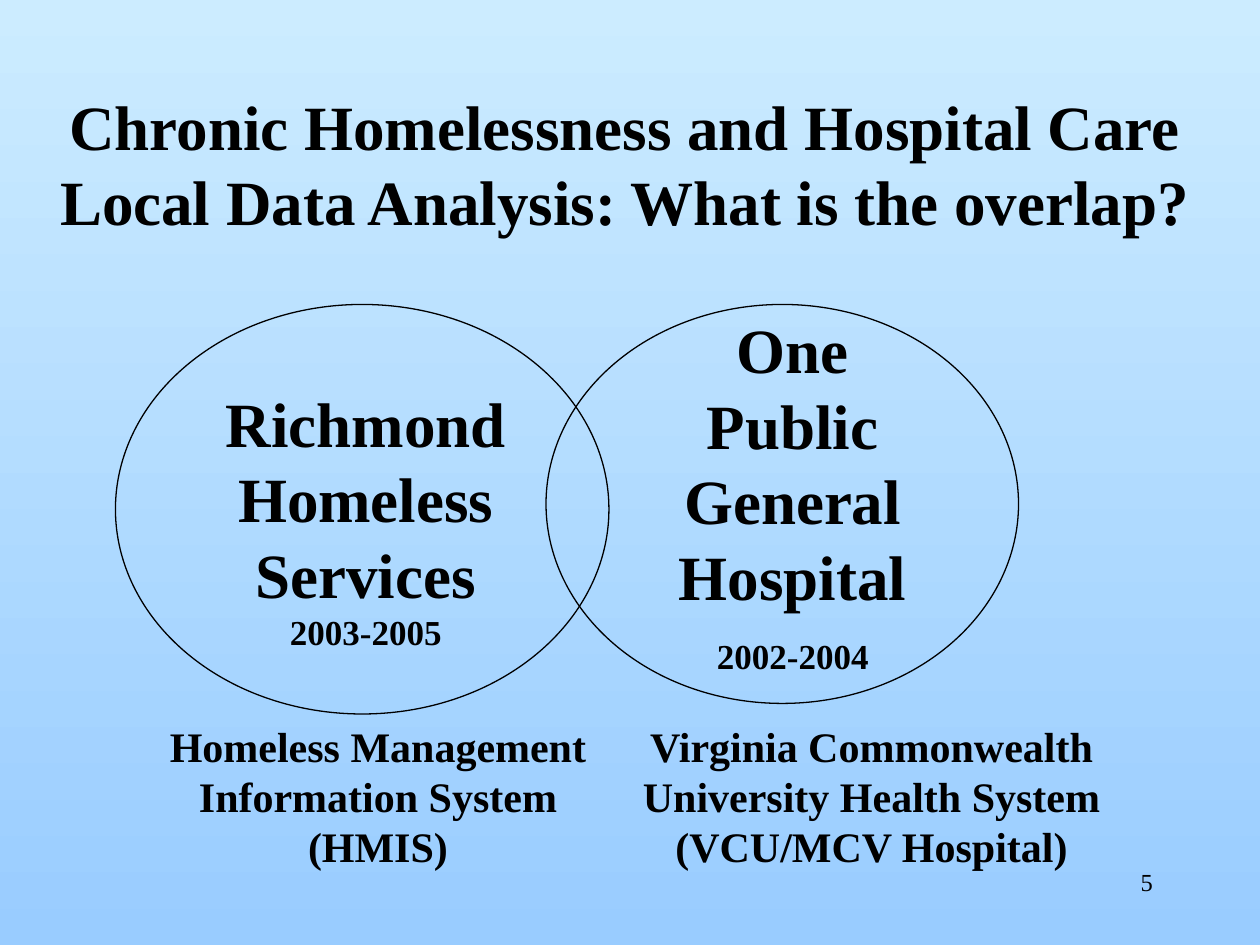
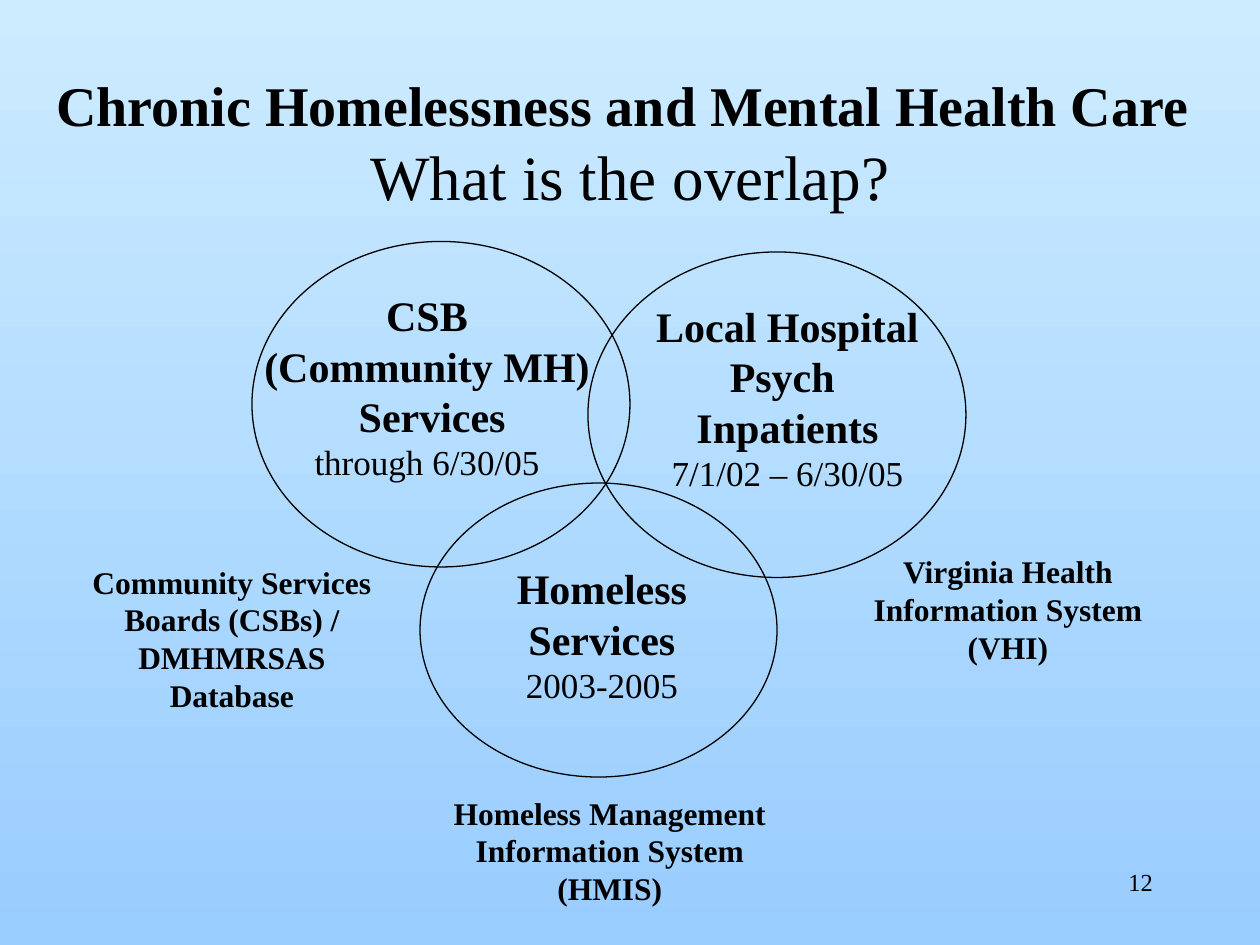
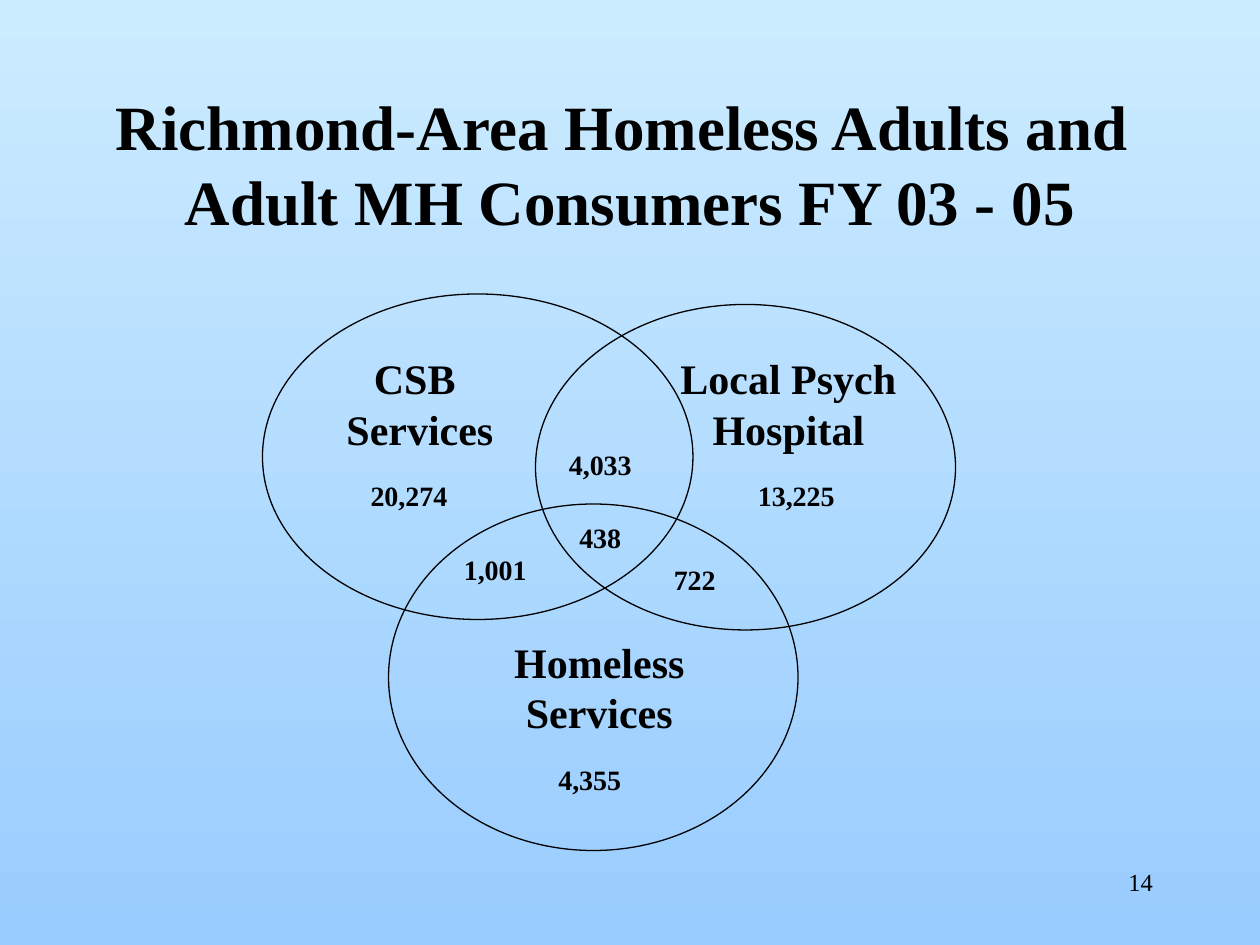
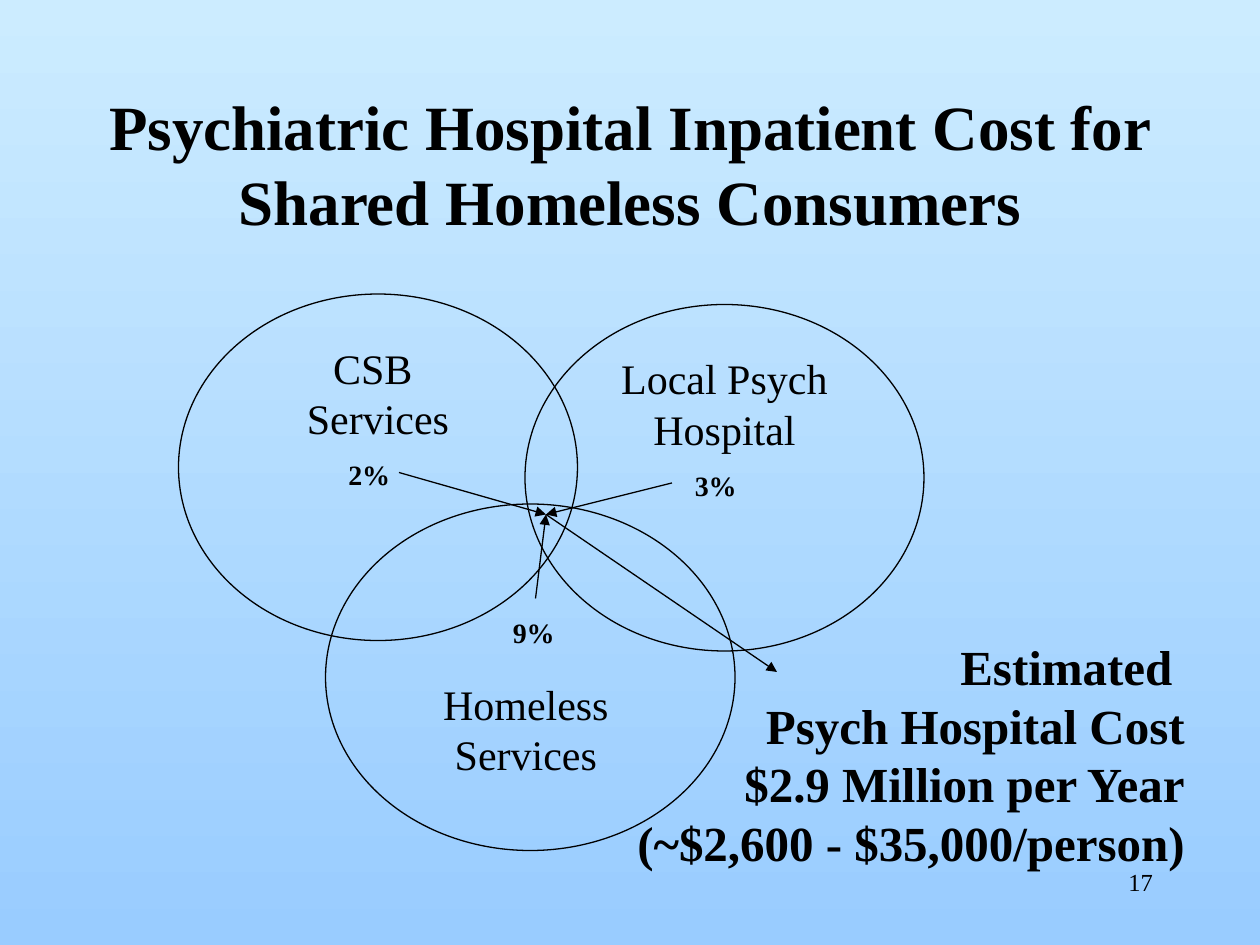
from copy import deepcopy
from dataclasses import dataclass
from typing import Optional

from lxml.etree import SubElement
from pptx import Presentation
from pptx.dml.color import RGBColor
from pptx.enum.shapes import MSO_CONNECTOR as Connector, MSO_SHAPE as Preset
from pptx.enum.text import MSO_ANCHOR as Anchor, MSO_AUTO_SIZE as AutoSize, PP_ALIGN as Align
from pptx.oxml.ns import qn
from pptx.util import Pt

FONT = "Times New Roman"
INK = "000000"
SKY_TOP = "CCECFF"
SKY_BOTTOM = "99CCFF"
LINE_WIDTH = 0.75
TITLE_ONLY = 5
NUMBER_FRAME = (516, 492, 150, 36)

Frame = tuple[float, float, float, float]
Point = tuple[float, float]


@dataclass(frozen=True)
class Span:
    text: str
    size: float = 36
    bold: bool = True
    before: float = 0


@dataclass(frozen=True)
class Label:
    frame: Frame
    lines: tuple[str, ...]
    size: float = 24
    bold: bool = True
    note: Optional[Span] = None
    wrap: bool = False
    align: Align = Align.CENTER
    grow: bool = True


@dataclass(frozen=True)
class Arrow:
    start: Point
    end: Point


@dataclass(frozen=True)
class Page:
    number: int
    title_frame: Frame
    title: tuple[Span, ...]
    circles: tuple[Frame, ...]
    labels: tuple[Label, ...]
    arrows: tuple[Arrow, ...] = ()


def figure(left: float, top: float, width: float, text: str) -> Label:
    return Label((left, top, width, 26.6), (text,), 16)


def color(code: str) -> RGBColor:
    return RGBColor.from_string(code)


def points(values: tuple[float, ...]) -> list[Pt]:
    return [Pt(value) for value in values]


def add_span(para, item: Span):
    span = para.add_run()
    span.text = item.text
    span.font.name = FONT
    span.font.size = Pt(item.size)
    span.font.bold = item.bold
    span.font.color.rgb = color(INK)
    return span


def draw_title(slide, frame: Frame, items: tuple[Span, ...]) -> None:
    title = slide.shapes.title
    title.left, title.top, title.width, title.height = points(frame)
    text = title.text_frame
    text.auto_size = AutoSize.NONE
    text.word_wrap = True
    text.vertical_anchor = Anchor.MIDDLE
    para = text.paragraphs[0]
    para.alignment = Align.CENTER
    for index, item in enumerate(items):
        if index:
            para.add_line_break()
            para._p[-1].append(deepcopy(span._r.rPr))
        span = add_span(para, item)


def draw_circle(slide, frame: Frame) -> None:
    circle = slide.shapes.add_shape(Preset.OVAL, *points(frame))
    circle.shadow.inherit = False
    circle.fill.background()
    circle.line.color.rgb = color(INK)
    circle.line.width = Pt(LINE_WIDTH)


def draw_label(slide, label: Label) -> None:
    box = slide.shapes.add_textbox(*points(label.frame))
    text = box.text_frame
    text.word_wrap = label.wrap
    text.auto_size = AutoSize.SHAPE_TO_FIT_TEXT if label.grow else AutoSize.NONE
    items = [Span(line, label.size, label.bold) for line in label.lines]
    if label.note:
        items.append(label.note)
    for index, item in enumerate(items):
        para = text.add_paragraph() if index else text.paragraphs[0]
        para.alignment = label.align
        if item.before:
            para.space_before = Pt(item.before)
        add_span(para, item)


def draw_arrow(slide, arrow: Arrow) -> None:
    line = slide.shapes.add_connector(
        Connector.STRAIGHT, *points(arrow.start + arrow.end)
    )
    line.line.color.rgb = color(INK)
    line.line.width = Pt(LINE_WIDTH)
    SubElement(line.line._get_or_add_ln(), qn("a:tailEnd"), type="triangle")
    SubElement(line._element.spPr, qn("a:effectLst"))


def draw_page(deck, page: Page) -> None:
    slide = deck.slides.add_slide(deck.slide_layouts[TITLE_ONLY])
    draw_title(slide, page.title_frame, page.title)
    for circle in page.circles:
        draw_circle(slide, circle)
    for arrow in page.arrows:
        draw_arrow(slide, arrow)
    for label in page.labels:
        draw_label(slide, label)
    draw_label(slide, Label(NUMBER_FRAME, (str(page.number),), 14, False,
                            wrap=True, align=Align.RIGHT, grow=False))


def paint_background(deck) -> None:
    fill = deck.slide_master.background.fill
    fill.gradient()
    fill.gradient_angle = 270
    for stop, code in zip(fill.gradient_stops, (SKY_TOP, SKY_BOTTOM)):
        stop.color.rgb = color(code)


HMIS = ("Homeless Management", "Information System", "(HMIS)")
CSB = ("CSB", " Services")
PSYCH = ("Local Psych", "Hospital")
HOMELESS = ("Homeless", "Services")
SHARED = (312, 294)

PAGES = (
    Page(
        5,
        (24, 48, 666, 90),
        (Span("Chronic Homelessness and Hospital Care "
              "Local Data Analysis: What is the overlap?"),),
        ((312, 174, 270, 228), (66, 174, 282, 234)),
        (
            Label((114, 216, 190, 161), ("Richmond Homeless", "Services"), 36,
                  note=Span("2003-2005", 20), wrap=True),
            Label((88, 408, 256, 93.6), HMIS),
            Label((348, 408, 300, 93.6),
                  ("Virginia Commonwealth University Health System",
                   "(VCU/MCV Hospital)"), wrap=True),
            Label((366, 174, 174, 216), ("One Public", "General", "Hospital"), 36,
                  note=Span("2002-2004", 20, before=12), wrap=True),
        ),
    ),
    Page(
        12,
        (24, 36, 672, 90),
        (Span("Chronic Homelessness and Mental Health Care ", 32),
         Span("What is the overlap?", bold=False)),
        ((144, 138, 216, 186), (336, 144, 216, 186), (240, 276, 204, 168)),
        (
            Label((142, 162, 204, 118), ("CSB", "(Community MH)", " Services"),
                  note=Span("through 6/30/05", 20, False)),
            Label((354, 168, 192, 118), ("Local Hospital", "Psych ", "Inpatients"),
                  note=Span("7/1/02 – 6/30/05", 20, False), wrap=True),
            Label((286, 318, 116, 89), HOMELESS,
                  note=Span("2003-2005", 20, False)),
            Label((250, 450, 197, 72), HMIS, 18),
            Label((490, 312, 172, 72),
                  ("Virginia Health", "Information System", "(VHI)"), 18),
            Label((43.5, 318, 178, 93.6),
                  ("Community Services", "Boards (CSBs) /", "DMHMRSAS", "Database"),
                  18),
        ),
    ),
    Page(
        14,
        (30, 48, 660, 90),
        (Span("Richmond-Area Homeless Adults and "),
         Span("Adult MH Consumers FY 03 - 05")),
        ((150, 168, 246, 186), (306, 174, 240, 186), (222, 288, 234, 198)),
        (
            Label((183, 198, 108, 65), CSB),
            Label((379.5, 198, 142, 65), PSYCH),
            Label((284.5, 360, 116, 65), HOMELESS),
            figure(316, 252, 54, "4,033"),
            figure(424, 270, 62, "13,225"),
            figure(198, 270, 71.3, "20,274"),
            figure(310, 432, 54, "4,355"),
            figure(256, 312, 54, "1,001"),
            figure(322, 294, 42, "438"),
            figure(376, 318, 42, "722"),
        ),
    ),
    Page(
        17,
        (54, 48, 612, 90),
        (Span("Psychiatric Hospital Inpatient Cost for Shared Homeless Consumers"),),
        ((102, 168, 228, 198), (300, 174, 228, 198), (186, 288, 234, 198)),
        (
            Label((160, 192, 106, 65), CSB, bold=False),
            Label((346, 198, 136, 65), PSYCH, bold=False),
            Label((244, 384, 113, 65), HOMELESS, bold=False),
            figure(388, 264, 42, "3%"),
            figure(190, 258, 42, "2%"),
            figure(284, 348, 42, "9%"),
            Label((281.5, 360, 402.5, 142),
                  ("Estimated ", "Psych Hospital Cost", "$2.9 Million per Year",
                   "(~$2,600 - $35,000/person)"), 28, wrap=True, align=Align.RIGHT),
        ),
        (
            Arrow((384, 276), SHARED),
            Arrow((228, 270), SHARED),
            Arrow((306, 342), SHARED),
            Arrow(SHARED, (444, 384)),
        ),
    ),
)


def main() -> None:
    deck = Presentation()
    deck.slide_width, deck.slide_height = Pt(720), Pt(540)
    paint_background(deck)
    for page in PAGES:
        draw_page(deck, page)
    deck.save("out.pptx")


if __name__ == "__main__":
    main()
